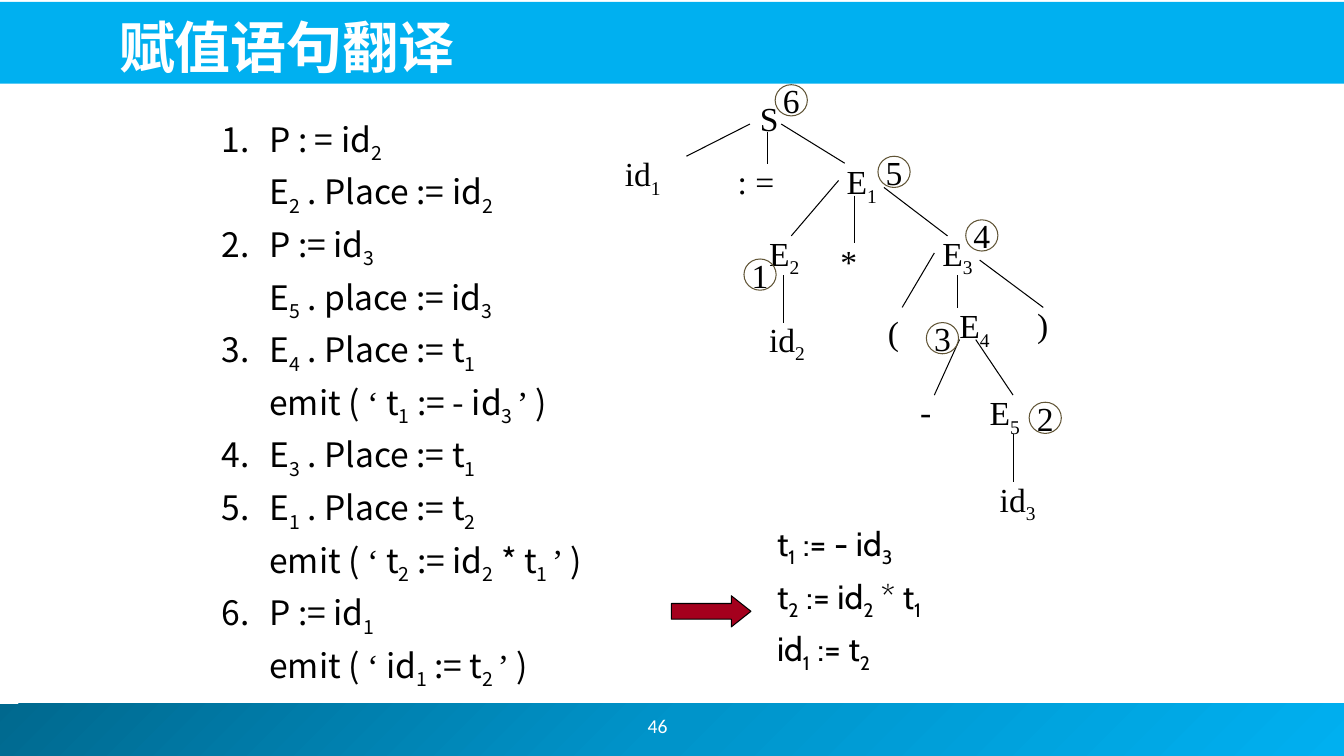
from copy import deepcopy
from typing import NamedTuple

from lxml.etree import SubElement
from pptx import Presentation
from pptx.dml.color import RGBColor
from pptx.enum.shapes import MSO_CONNECTOR as Link, MSO_SHAPE as Kind
from pptx.enum.text import MSO_ANCHOR as Anchor, MSO_AUTO_SIZE as Fit, PP_ALIGN as Align
from pptx.oxml.ns import qn
from pptx.util import Pt

BLACK = RGBColor(0x00, 0x00, 0x00)
WHITE = RGBColor(0xFF, 0xFF, 0xFF)
SKY = RGBColor(0x00, 0xB0, 0xF0)
SEA = RGBColor(0x00, 0x94, 0xCA)
DEEP = RGBColor(0x00, 0x68, 0x8E)
RED = RGBColor(0xA4, 0x00, 0x1D)
BROWN = RGBColor(0x60, 0x54, 0x35)
SANS, SERIF, CABIN = "Noto Sans CJK JP", "Times New Roman", "Cabin"


class Node(NamedTuple):
    text: str
    left: float
    top: float
    width: float


class Edge(NamedTuple):
    x1: float
    y1: float
    x2: float
    y2: float


class Mark(NamedTuple):
    left: float
    top: float


class Step(NamedTuple):
    head: str
    tail: str = ""


STEPS = [
    Step("P : = id_2_", "E_2_ . Place := id_2_"),
    Step("P := id_3_", "E_5_ . place := id_3_"),
    Step("E_4_ . Place := t_1_", "emit ( ‘ t_1_ := - id_3 _’ )"),
    Step("E_3_ . Place := t_1_"),
    Step("E_1_ . Place := t_2_", "emit ( ‘ t_2_ := id_2_ * t_1 _’ )"),
    Step("P := id_1_", "emit ( ‘ id_1_ := t_2 _’ )"),
]
CODE = ["t_1_ := - id_3_", "t_2_ := id_2_ * t_1_", "id_1_ := t_2_"]
NODES = [
    Node("S", 535.7, 66.2, 24), Node("E_1_", 597.6, 111.6, 40),
    Node("id_1_", 439.2, 105.8, 58), Node("E_3_", 666, 162.7, 53),
    Node("E_2_", 542.2, 162.7, 40), Node("*", 593.3, 168.5, 30),
    Node(")", 733.7, 213.8, 53), Node("E_4_", 678.2, 214.6, 50),
    Node("(", 627.1, 219.6, 53), Node(": =", 519.8, 111.6, 51),
    Node("E_5_", 699.8, 276.5, 51), Node("-", 650.2, 275.8, 30),
    Node("id_3_", 707, 338.4, 70), Node("id_2_", 542.2, 223.9, 70),
]
EDGES = [
    Edge(535.7, 88.6, 490.3, 111.6), Edge(558, 88.6, 603.4, 116.6),
    Edge(547.9, 94.3, 547.9, 117.4), Edge(610.6, 139.7, 610.6, 173.5),
    Edge(631.4, 133.9, 676.8, 168.5), Edge(599, 128.9, 565.2, 168.5),
    Edge(684, 196.6, 684, 220.3), Edge(699.8, 185.8, 745.2, 219.6),
    Edge(667.4, 180.7, 644.4, 219.6), Edge(697, 242.6, 723.6, 282.2),
    Edge(685.4, 242.6, 667.4, 282.2), Edge(723.6, 310.3, 723.6, 344.2),
    Edge(559.4, 196.6, 559.4, 230.4),
]
MARKS = [
    Mark(531.4, 185), Mark(735.1, 287.3), Mark(661.7, 230.4),
    Mark(689.8, 157), Mark(627.1, 111.6), Mark(553.7, 60.5),
]


def place(shape, left: float, top: float, width: float, height: float) -> None:
    shape.left, shape.top = Pt(left), Pt(top)
    shape.width, shape.height = Pt(width), Pt(height)


def style(run, face: str, size: float = 24, color: RGBColor = BLACK) -> None:
    font = run.font
    font.name, font.size = face, Pt(size)
    font.color.rgb = color
    SubElement(run._r.get_or_add_rPr(), qn("a:ea")).set("typeface", face)


def write(para, text: str, face: str) -> None:
    for i, part in enumerate(text.split("_")):
        for j, bit in enumerate(part.replace("‘", "|‘|").replace("’", "|’|").split("|")):
            if not bit:
                continue
            run = para.add_run()
            run.text = bit
            style(run, SERIF if j % 2 else face)
            if i % 2:
                run._r.get_or_add_rPr().set("baseline", "-25000")


def item(para, text: str, face: str, edge: float = 0, num: int = 0) -> None:
    write(para, text, face)
    para.line_spacing, para.space_before = Pt(34), Pt(3.6)
    props = para._p.get_or_add_pPr()
    props.set("marL", str(Pt(edge)))
    props.set("indent", str(Pt(-edge if num else 0)))
    if num:
        mark = SubElement(props, qn("a:buFont"))
        mark.set("typeface", face)
        mark = SubElement(props, qn("a:buAutoNum"))
        mark.set("type", "arabicPeriod")
        mark.set("startAt", str(num))
    else:
        SubElement(props, qn("a:buNone"))


def fill_list(body, rows: list, face: str, edge: float = 0) -> None:
    frame = body.text_frame
    frame.auto_size = Fit.NONE
    for i, (text, num) in enumerate(rows):
        para = frame.add_paragraph() if i else frame.paragraphs[0]
        item(para, text, face, edge, num)


def solid(shapes, kind, box: tuple, fill=None, line=None):
    shape = shapes.add_shape(kind, *map(Pt, box))
    shape.shadow.inherit = False
    if fill is None:
        shape.fill.background()
    else:
        shape.fill.solid()
        shape.fill.fore_color.rgb = fill
    if line is None:
        shape.line.fill.background()
    else:
        shape.line.color.rgb, shape.line.width = line, Pt(0.75)
    return shape


def to_back(shape) -> None:
    shape.element.getparent().insert(2, shape.element)


def bands(shapes) -> None:
    to_back(solid(shapes, Kind.RECTANGLE, (-1.4, 1.4, 962, 58.3), SKY))
    foot = solid(shapes, Kind.RECTANGLE, (-3.6, 502.6, 964, 37.4))
    foot.fill.gradient()
    foot.fill.gradient_angle = 315
    stops = foot.element.find(".//" + qn("a:gsLst"))
    stops.insert(1, deepcopy(stops[0]))
    for stop, color, pos in zip(foot.fill.gradient_stops, (DEEP, SEA, SKY), (0, 0.5, 1)):
        stop.color.rgb, stop.position = color, pos
    to_back(foot)


def tree(shapes) -> None:
    for node in NODES:
        frame = shapes.add_textbox(*map(Pt, (node.left, node.top, node.width, 36))).text_frame
        frame.word_wrap = True
        write(frame.paragraphs[0], node.text, SERIF)
    for edge in EDGES:
        line = shapes.add_connector(Link.STRAIGHT, *map(Pt, edge))
        line.line.color.rgb, line.line.width = BLACK, Pt(0.75)
        SubElement(line.element.spPr, qn("a:effectLst"))
    for num, mark in enumerate(MARKS, 1):
        ring = solid(shapes, Kind.OVAL, (*mark, 23, 22.3), line=BROWN)
        center(ring, str(num), SERIF, 24, BLACK)
        ring.text_frame.word_wrap = False


def center(shape, text: str, face: str, size: float, color: RGBColor) -> None:
    frame = shape.text_frame
    frame.text = text
    frame.vertical_anchor = Anchor.MIDDLE
    frame.paragraphs[0].alignment = Align.CENTER
    style(frame.paragraphs[0].runs[0], face, size, color)


def main() -> None:
    deck = Presentation()
    deck.slide_width, deck.slide_height = Pt(960), Pt(540)
    slide = deck.slides.add_slide(deck.slide_layouts[3])
    shapes = slide.shapes
    title, steps, code = list(slide.placeholders)
    bands(shapes)

    place(title, 77.8, 3.6, 850, 56.9)
    frame = title.text_frame
    frame.text = "赋值语句翻译"
    frame.auto_size, frame.vertical_anchor = Fit.NONE, Anchor.BOTTOM
    frame.paragraphs[0].alignment = Align.LEFT
    run = frame.paragraphs[0].runs[0]
    style(run, SANS, 40, WHITE)
    run.font.bold = True

    place(steps, 151.2, 79.9, 321, 401.8)
    rows = [row for num, step in enumerate(STEPS, 1)
            for row in ((step.head, num), (step.tail, 0)) if row[0]]
    fill_list(steps, rows, SANS, 34)
    place(code, 547.9, 368.6, 179.3, 124.6)
    fill_list(code, [(text, 0) for text in CODE], CABIN)

    arrow = solid(shapes, Kind.RIGHT_ARROW, (479.5, 425.5, 56.9, 22.3), RED, BLACK)
    arrow.adjustments[1] = 0.63
    tree(shapes)
    page = shapes.add_textbox(*map(Pt, (365.8, 500.4, 208, 36)))
    center(page, "46", "Calibri", 14, WHITE)
    page.text_frame.word_wrap = True
    deck.save("out.pptx")


if __name__ == "__main__":
    main()
